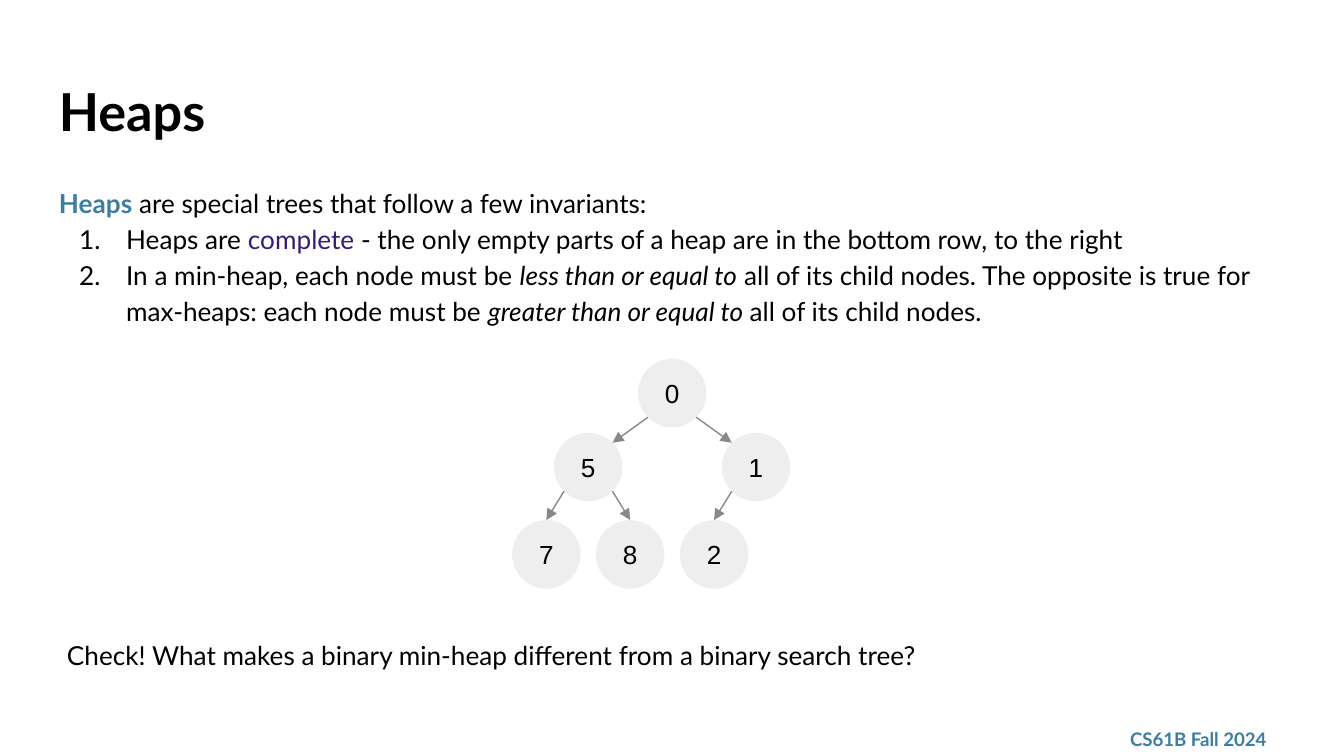
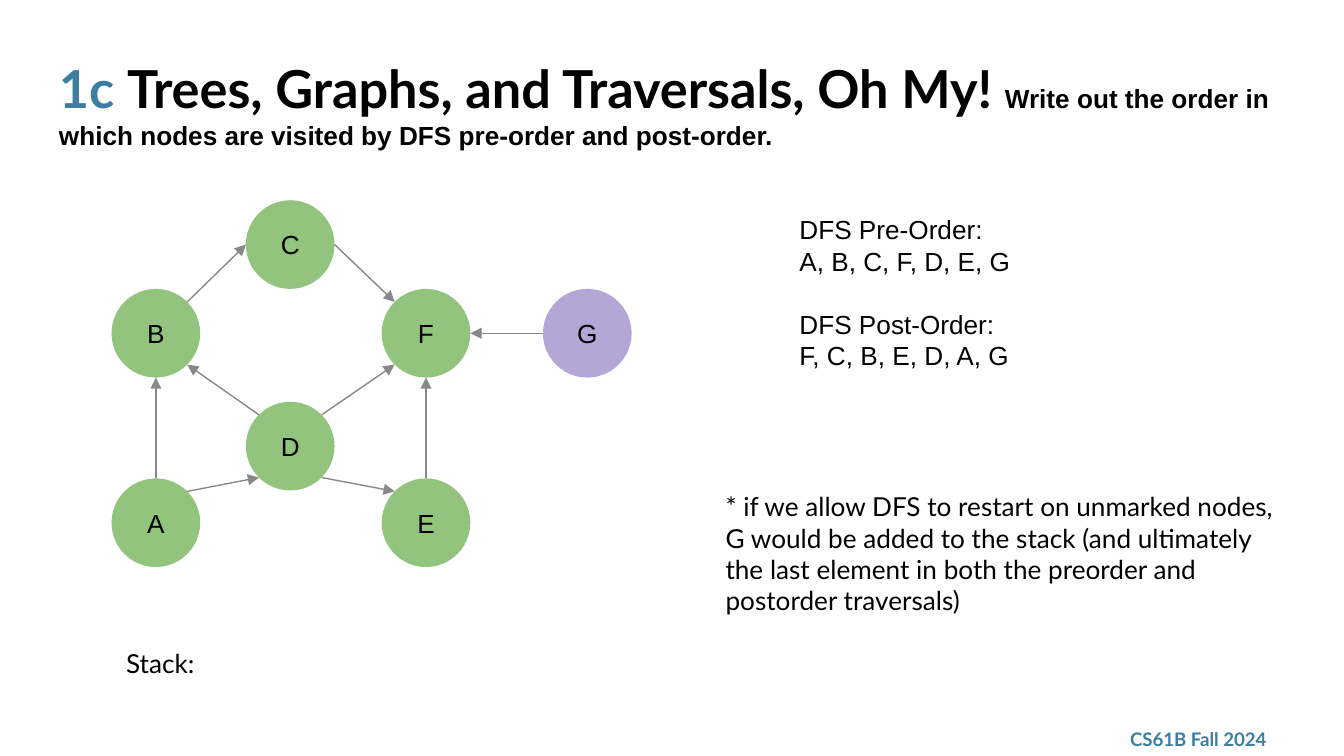
from dataclasses import dataclass
from math import cos, radians, sin

from lxml.etree import SubElement
from pptx import Presentation
from pptx.dml.color import RGBColor
from pptx.enum.shapes import MSO_CONNECTOR, MSO_SHAPE
from pptx.enum.text import MSO_ANCHOR, PP_ALIGN
from pptx.oxml.ns import qn
from pptx.util import Inches, Pt


@dataclass(frozen=True)
class Theme:
    black: str = "000000"
    accent: str = "3B7EA1"
    violet: str = "351C75"
    arrow: str = "888888"
    heap_node: str = "EEEEEE"
    visited_node: str = "93C47D"
    restart_node: str = "B4A7D6"
    heading_font: str = "Lato"
    plain_font: str = "Arial"
    title_size: int = 28
    body_size: int = 14
    footer_size: int = 10
    arrow_width: float = 0.75


theme = Theme()


def write_text(shape, paragraphs, font=theme.heading_font, size=theme.body_size, bold=False,
               anchor=MSO_ANCHOR.TOP, align=PP_ALIGN.LEFT):
    frame = shape.text_frame
    frame.word_wrap = True
    frame.vertical_anchor = anchor
    frame.margin_left = frame.margin_right = frame.margin_top = frame.margin_bottom = Inches(0.1)
    for index, runs in enumerate(paragraphs):
        paragraph = frame.paragraphs[0] if index == 0 else frame.add_paragraph()
        paragraph.alignment = align
        for text, style in runs:
            run = paragraph.add_run()
            run.text = text
            run.font.name = style.get("font", font)
            run.font.size = Pt(style.get("size", size))
            run.font.bold = style.get("bold", bold)
            run.font.italic = style.get("italic", False)
            run.font.color.rgb = RGBColor.from_string(style.get("color", theme.black))
    return frame.paragraphs


def draw_graph(slide, preset, diameter, nodes, edges):
    circles = {}
    for label, left, top, fill in nodes:
        circle = slide.shapes.add_shape(
            preset, Inches(left), Inches(top), Inches(diameter), Inches(diameter))
        circle.shadow.inherit = False
        circle.fill.solid()
        circle.fill.fore_color.rgb = RGBColor.from_string(fill)
        circle.line.fill.background()
        write_text(circle, [[(label, {})]], font=theme.plain_font,
                   anchor=MSO_ANCHOR.MIDDLE, align=PP_ALIGN.CENTER)
        circles[label] = circle
    for start, start_site, end, end_site in edges:
        points = []
        for label, site in ((start, start_site), (end, end_site)):
            circle, angle = circles[label], radians(45 * site)
            radius = circle.width / 2
            points += [round(circle.left + radius * (1 - sin(angle))),
                       round(circle.top + radius * (1 - cos(angle)))]
        arrow = slide.shapes.add_connector(MSO_CONNECTOR.STRAIGHT, *points)
        arrow.line.color.rgb = RGBColor.from_string(theme.arrow)
        arrow.line.width = Pt(theme.arrow_width)
        SubElement(arrow.line._get_or_add_ln(), qn("a:tailEnd"), type="triangle")
        SubElement(arrow._element.spPr, qn("a:effectLst"))
        joints = arrow._element.find(".//" + qn("p:cNvCxnSpPr"))
        for tag, label, site in (("a:stCxn", start, start_site), ("a:endCxn", end, end_site)):
            SubElement(joints, qn(tag), id=str(circles[label].shape_id), idx=str(site))


presentation = Presentation()
presentation.slide_width = Inches(10)
presentation.slide_height = Inches(10) * 9 // 16

titles = [
    (0.49, [("Heaps", {})]),
    (0.32, [
        ("1c ", {"color": theme.accent}),
        ("Trees, Graphs, and Traversals, Oh My! ", {}),
        ("Write out the order in which nodes are visited by DFS pre-order and post-order.",
         {"font": theme.plain_font, "size": theme.body_size}),
    ]),
]
slides = []
for title_top, title_runs in titles:
    slide = presentation.slides.add_slide(presentation.slide_layouts[6])
    footer = slide.shapes.add_textbox(Inches(8.31), Inches(5.37), Inches(1.35), Inches(0.26))
    write_text(footer, [[("CS61B Fall 2024", {"color": theme.accent})]],
               size=theme.footer_size, bold=True, anchor=MSO_ANCHOR.MIDDLE)
    title = slide.shapes.add_textbox(Inches(0.34), Inches(title_top), Inches(9.32), Inches(0.63))
    write_text(title, [title_runs], size=theme.title_size, bold=True)
    slides.append(slide)
heaps_slide, traversal_slide = slides

invariants = heaps_slide.shapes.add_textbox(Inches(0.34), Inches(1.26), Inches(9.32), Inches(1.16))
invariant_paragraphs = write_text(invariants, [
    [("Heaps", {"color": theme.accent, "bold": True}),
     (" are special trees that follow a few invariants:", {})],
    [("Heaps are ", {}),
     ("complete", {"color": theme.violet}),
     (" - the only empty parts of a heap are in the bottom row, to the right", {})],
    [("In a min-heap, each node must be ", {}),
     ("less than or equal to", {"italic": True}),
     (" all of its child nodes. The opposite is true for max-heaps: each node must be ", {}),
     ("greater than or equal to ", {"italic": True}),
     ("all of its child nodes.", {})],
])
for paragraph in invariant_paragraphs:
    paragraph.line_spacing = 1.15
for paragraph in invariant_paragraphs[1:]:
    properties = paragraph._p.get_or_add_pPr()
    properties.set("marL", str(Inches(0.5)))
    properties.set("indent", str(Inches(-0.35)))
    number_color = SubElement(properties, qn("a:buClr"))
    SubElement(number_color, qn("a:srgbClr"), val=theme.black)
    SubElement(properties, qn("a:buAutoNum"), type="arabicPeriod")

heap_tops = [2.67, 3.22, 3.87]
heap_places = [("0", 3, 0), ("5", 1, 1), ("1", 5, 1), ("7", 0, 2), ("8", 2, 2), ("2", 4, 2)]
heap_nodes = [(label, 3.81 + 1.56 * column / 5, heap_tops[level], theme.heap_node)
              for label, column, level in heap_places]
heap_edges = [("0", 3, "5", 7), ("0", 5, "1", 1), ("5", 3, "7", 0), ("5", 5, "8", 0), ("1", 3, "2", 0)]
draw_graph(heaps_slide, MSO_SHAPE.FLOWCHART_CONNECTOR, 0.51, heap_nodes, heap_edges)

question = heaps_slide.shapes.add_textbox(Inches(0.4), Inches(4.66), Inches(9.41), Inches(0.44))
write_text(question, [
    [("Check! What makes a binary min-heap different from a binary search tree?", {})]])

graph_nodes = [
    ("A", 0.83, 3.56, theme.visited_node),
    ("B", 0.83, 2.15, theme.visited_node),
    ("D", 1.83, 2.99, theme.visited_node),
    ("E", 2.84, 3.56, theme.visited_node),
    ("F", 2.84, 2.15, theme.visited_node),
    ("C", 1.83, 1.49, theme.visited_node),
    ("G", 4.04, 2.15, theme.restart_node),
]
graph_edges = [
    ("A", 0, "B", 4), ("A", 7, "D", 3), ("D", 1, "B", 5),
    ("B", 7, "C", 2), ("D", 7, "F", 3), ("D", 5, "E", 1),
    ("E", 0, "F", 4), ("C", 6, "F", 1), ("G", 2, "F", 6),
]
draw_graph(traversal_slide, MSO_SHAPE.OVAL, 0.66, graph_nodes, graph_edges)

orders = traversal_slide.shapes.add_textbox(Inches(5.85), Inches(1.49), Inches(2.43), Inches(1.62))
order_paragraphs = write_text(orders, [
    [("DFS Pre-Order:", {})],
    [("A, B, C, F, D, E, G", {})],
    [("DFS Post-Order:", {})],
    [("F, C, B, E, D, A, G", {})],
], font=theme.plain_font)
order_paragraphs[2].space_before = Pt(17)

stack = traversal_slide.shapes.add_textbox(Inches(0.84), Inches(4.72), Inches(8.02), Inches(0.67))
write_text(stack, [[("Stack:", {})]])

restart_note = traversal_slide.shapes.add_textbox(
    Inches(5.3), Inches(3.55), Inches(4.35), Inches(1.14))
write_text(restart_note, [
    [("* if we allow DFS to restart on unmarked nodes,", {})],
    [("G would be added to the stack (and ultimately the last element in both the preorder "
      "and postorder traversals)", {})],
])

presentation.save("out.pptx")
